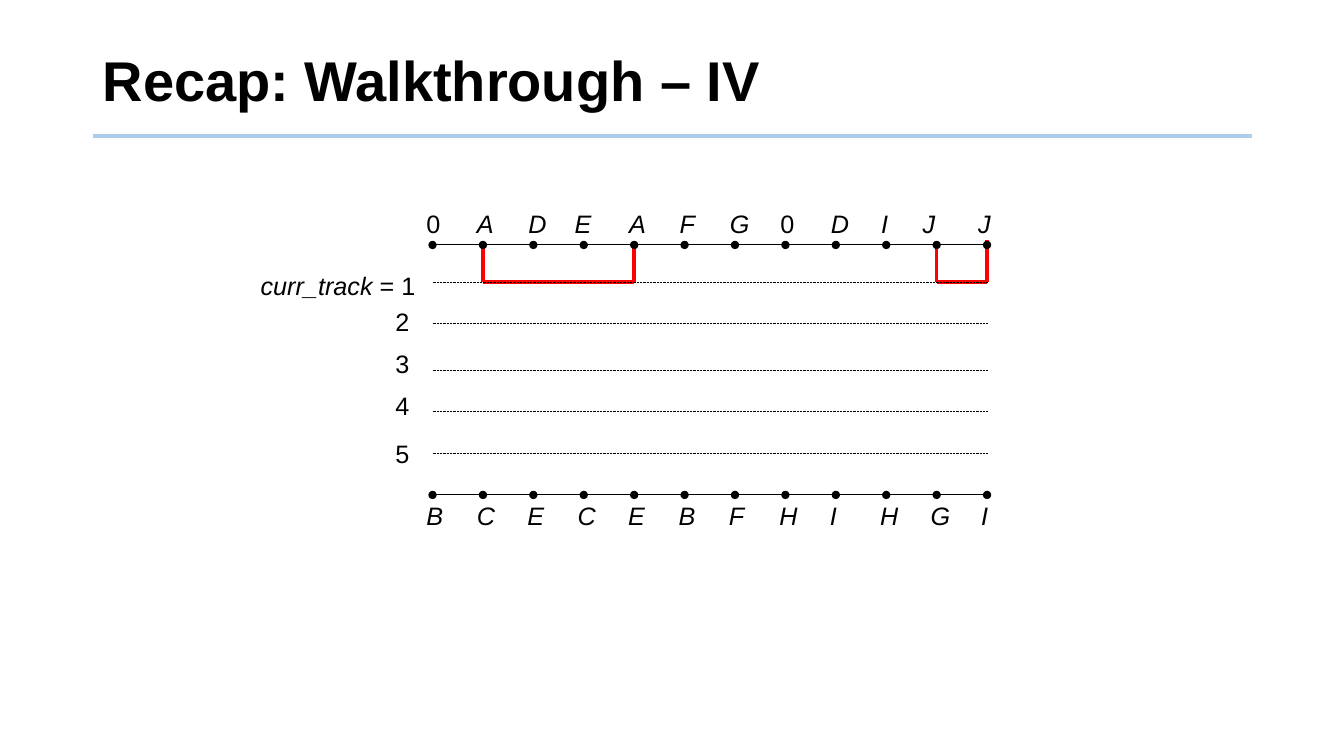
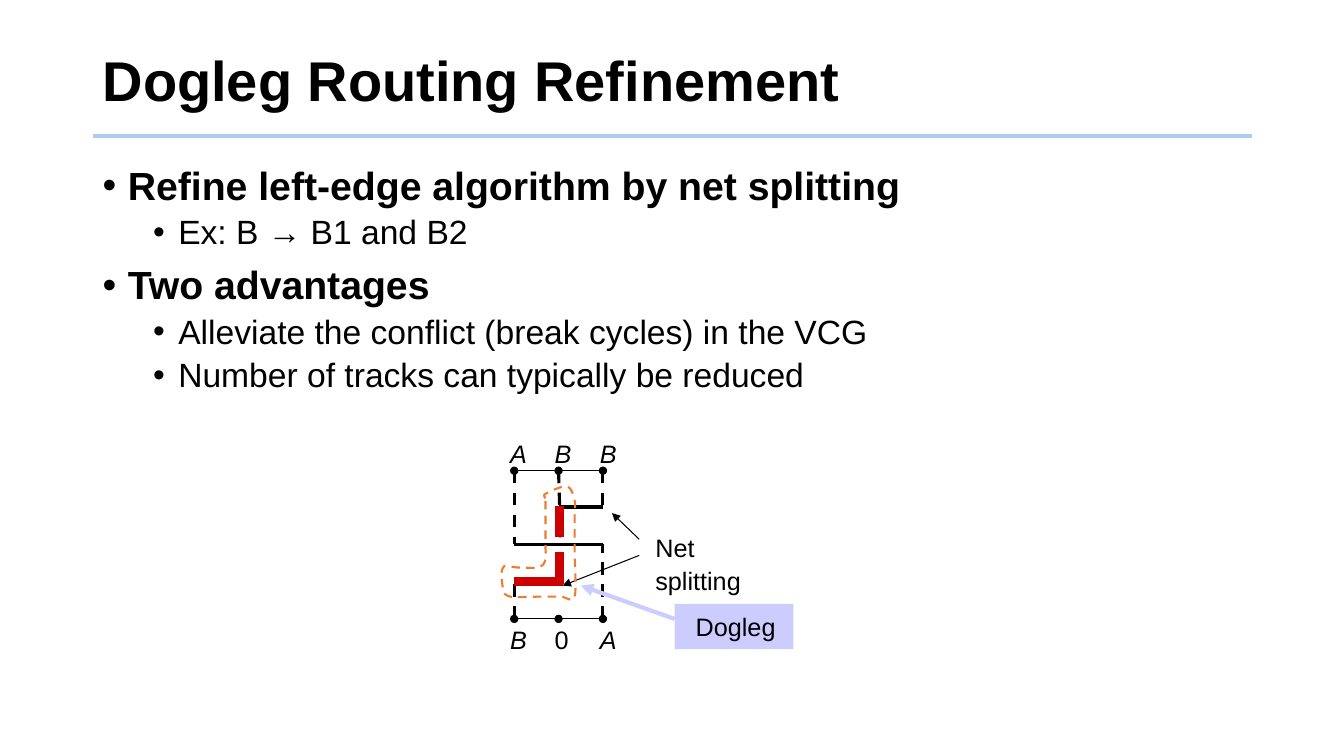
from lxml import etree
from pptx import Presentation
from pptx.dml.color import RGBColor
from pptx.enum.dml import MSO_LINE
from pptx.enum.shapes import MSO_CONNECTOR, MSO_SHAPE
from pptx.enum.text import MSO_ANCHOR, PP_ALIGN
from pptx.oxml.ns import qn
from pptx.util import Pt

PX = 9144
STRAIGHT = MSO_CONNECTOR.STRAIGHT
RECTANGLE = MSO_SHAPE.RECTANGLE
DASH, DOT = MSO_LINE.DASH, MSO_LINE.ROUND_DOT
TOP, MIDDLE = MSO_ANCHOR.TOP, MSO_ANCHOR.MIDDLE
LEFT, RIGHT = PP_ALIGN.LEFT, PP_ALIGN.RIGHT

FONT = "Arial"
BLACK, RULE, RED, CRIMSON = "000000", "ADCDEA", "FF0000", "CC0000"
ORANGE, LILAC = "ED7D31", "CCCCFF"
LABEL_INSETS = (11, 5, 11, 5)
NOTE_INSETS = (21, 5, 10, 7)
BODY_INSETS = (10, 5, 10, 5)
LABEL_SIZE = 18


def rgb(value):
    return RGBColor.from_string(value)


def cubic(start, first, second, end, steps=6):
    for step in range(1, steps + 1):
        t = step / steps
        u = 1 - t
        weights = (u ** 3, 3 * u * u * t, 3 * u * t * t, t ** 3)
        points = (start, first, second, end)
        yield tuple(round(PX * sum(w * p[axis] for w, p in zip(weights, points)))
                    for axis in (0, 1))


class Deck:
    def __init__(self):
        self.presentation = Presentation()
        self.presentation.slide_width = 1333 * PX
        self.presentation.slide_height = 750 * PX
        self.slide = None

    def new_slide(self, title):
        self.slide = self.presentation.slides.add_slide(self.presentation.slide_layouts[6])
        self.line((92, 135), (1242, 135), RULE, 3)
        frame = self.text_box((92, 28, 1150, 110), BODY_INSETS, MIDDLE)
        paragraph = frame.paragraphs[0]
        paragraph.line_spacing = 0.9
        self.run(paragraph, title, 40, bold=True)

    def text_box(self, box, insets, anchor=TOP):
        shape = self.slide.shapes.add_textbox(*(value * PX for value in box))
        return self.set_frame(shape.text_frame, insets, anchor)

    def set_frame(self, frame, insets, anchor=TOP):
        frame.word_wrap = True
        frame.vertical_anchor = anchor
        (frame.margin_left, frame.margin_top,
         frame.margin_right, frame.margin_bottom) = (value * PX for value in insets)
        return frame

    def run(self, paragraph, text, size=LABEL_SIZE, bold=False, italic=False):
        run = paragraph.add_run()
        run.text = text
        run.font.name = FONT
        run.font.size = Pt(size)
        run.font.bold = bold
        run.font.italic = italic
        run.font.color.rgb = rgb(BLACK)

    def label(self, box, parts, align=LEFT):
        paragraph = self.text_box(box, LABEL_INSETS).paragraphs[0]
        paragraph.alignment = align
        for text, italic in parts:
            self.run(paragraph, text, italic=italic)

    def write_note(self, frame, text):
        paragraph = self.set_frame(frame, NOTE_INSETS).paragraphs[0]
        paragraph.alignment = LEFT
        paragraph.line_spacing = Pt(23.5)
        self.run(paragraph, text)

    def note(self, box, text):
        self.write_note(self.text_box(box, NOTE_INSETS), text)

    def filled_note(self, box, text, fill):
        shape = self.slide.shapes.add_shape(RECTANGLE, *(value * PX for value in box))
        shape.shadow.inherit = False
        shape.fill.solid()
        shape.fill.fore_color.rgb = rgb(fill)
        shape.line.fill.background()
        self.write_note(shape.text_frame, text)

    def bullets(self, box, items):
        frame = self.text_box(box, BODY_INSETS)
        for index, (level, text) in enumerate(items):
            paragraph = frame.add_paragraph() if index else frame.paragraphs[0]
            properties = paragraph._p.get_or_add_pPr()
            properties.set("marL", str((75 if level else 25) * PX))
            properties.set("indent", str(-25 * PX))
            etree.SubElement(properties, qn("a:buFont")).set("typeface", FONT)
            etree.SubElement(properties, qn("a:buChar")).set("char", "•")
            paragraph.level = level
            paragraph.line_spacing = 0.9
            if index:
                paragraph.space_before = Pt(5 if level else 10)
            self.run(paragraph, text, 24 if level else 28, bold=not level)

    def line(self, start, end, color, width, dash=None, head=None, tail=None):
        connector = self.slide.shapes.add_connector(
            STRAIGHT, *(value * PX for value in start + end))
        connector.line.color.rgb = rgb(color)
        connector.line.width = Pt(width)
        if dash:
            connector.line.dash_style = dash
        properties = connector._element.spPr
        outline = properties.find(qn("a:ln"))
        for tag, kind in (("a:headEnd", head), ("a:tailEnd", tail)):
            if kind:
                etree.SubElement(outline, qn(tag)).set("type", kind)
        etree.SubElement(properties, qn("a:effectLst"))

    def route(self, points, color, width):
        for start, end in zip(points, points[1:]):
            self.line(start, end, color, width)

    def pin_row(self, xs, y):
        for index, (left, right) in enumerate(zip(xs, xs[1:])):
            self.line((left, y), (right, y), BLACK, 0.75,
                      head=None if index else "oval", tail="oval")

    def pin_labels(self, lefts, top, width, names):
        for left, name in zip(lefts, names):
            self.label((left, top, width, 41), [(name, name != "0")])

    def curve(self, start, segments, color, width, dash):
        builder = self.slide.shapes.build_freeform(start[0] * PX, start[1] * PX, scale=1.0)
        for x1, y1, x2, y2, x3, y3 in segments:
            end = (x3, y3)
            builder.add_line_segments(cubic(start, (x1, y1), (x2, y2), end), close=False)
            start = end
        builder.add_line_segments([], close=True)
        outline = builder.convert_to_shape()
        outline.shadow.inherit = False
        outline.fill.background()
        outline.line.color.rgb = rgb(color)
        outline.line.width = Pt(width)
        outline.line.dash_style = dash


def add_walkthrough(deck):
    deck.new_slide("Recap: Walkthrough – IV")
    pins = range(429, 980, 50)
    first, last = pins[0], pins[-1]
    deck.pin_row(pins, 491)
    deck.pin_labels(range(412, 963, 50), 491, 42, "BCECEBFHIHGI")
    deck.route([(479, 241), (479, 280), (629, 280), (629, 241)], RED, 2.5)
    deck.route([(929, 241), (929, 280), (979, 280), (979, 238)], RED, 2.5)
    for track in (280, 321, 367, 408, 450):
        deck.line((first, track), (last, track), BLACK, 0.5, DOT)
    deck.label((238, 263, 185, 41), [("curr_track", True), (" = 1", False)], RIGHT)
    for number, top in zip("2345", (299, 341, 382, 430)):
        deck.label((347, top, 70, 41), [(number, False)], RIGHT)
    deck.pin_row(pins, 243)
    top_lefts = (412, 462, 513, 559, 613, 663, 713, 763, 813, 863, 904, 959)
    deck.pin_labels(top_lefts, 202, 42, "0ADEAFG0DIJJ")


def add_dogleg(deck):
    deck.new_slide("Dogleg Routing Refinement")
    deck.bullets((92, 160, 1150, 515), [
        (0, "Refine left-edge algorithm by net splitting"),
        (1, "Ex: B → B1 and B2"),
        (0, "Two advantages"),
        (1, "Alleviate the conflict (break cycles) in the VCG"),
        (1, "Number of tracks can typically be reduced"),
    ])
    pins = (510, 554, 598)
    left, middle, right = pins
    label_lefts = (495, 539, 584)
    for y, label_top, names in ((467, 430, "ABB"), (614, 614, "B0A")):
        deck.pin_row(pins, y)
        deck.pin_labels(label_lefts, label_top, 37, names)
    for start, end in (
        ((left, 467), (left, 540)),
        ((right, 614), (right, 540)),
        ((right, 467), (right, 503)),
        ((middle, 467), (556, 533)),
        ((left, 614), (left, 577)),
    ):
        deck.line(start, end, BLACK, 2.25, DASH)
    for track, start in ((540, left), (503, middle)):
        deck.line((start, track), (right, track), BLACK, 2.25)

    deck.note((629, 521, 125, 78), "Net splitting")
    deck.line((634, 551), (558, 581), BLACK, 0.75, tail="triangle")
    deck.line((634, 535), (607, 509), BLACK, 0.75, tail="triangle")

    for start, end in (
        ((left, 577), (558, 577)),
        ((555, 579), (555, 548)),
        ((555, 533), (555, 502)),
    ):
        deck.line(start, end, CRIMSON, 6)
    deck.curve((541, 497), [
        (541, 502, 541, 512, 541, 519),
        (541, 526, 541, 535, 541, 541),
        (541, 547, 542, 552, 541, 555),
        (540, 559, 539, 561, 534, 563),
        (530, 564, 519, 563, 513, 563),
        (507, 563, 501, 559, 499, 563),
        (496, 566, 498, 580, 499, 584),
        (500, 589, 500, 590, 506, 592),
        (512, 593, 526, 592, 534, 592),
        (543, 592, 550, 592, 556, 592),
        (562, 592, 568, 599, 570, 592),
        (572, 585, 570, 561, 570, 548),
        (570, 535, 570, 520, 570, 512),
        (570, 503, 571, 502, 570, 497),
        (569, 492, 567, 484, 563, 483),
        (558, 481, 545, 488, 541, 490),
        (538, 492, 541, 492, 541, 497),
    ], ORANGE, 1.5, DASH)
    deck.filled_note((669, 599, 118, 45), "Dogleg", LILAC)
    deck.line((669, 614), (576, 581), LILAC, 3, tail="triangle")


def main():
    deck = Deck()
    add_walkthrough(deck)
    add_dogleg(deck)
    deck.presentation.save("out.pptx")


if __name__ == "__main__":
    main()
